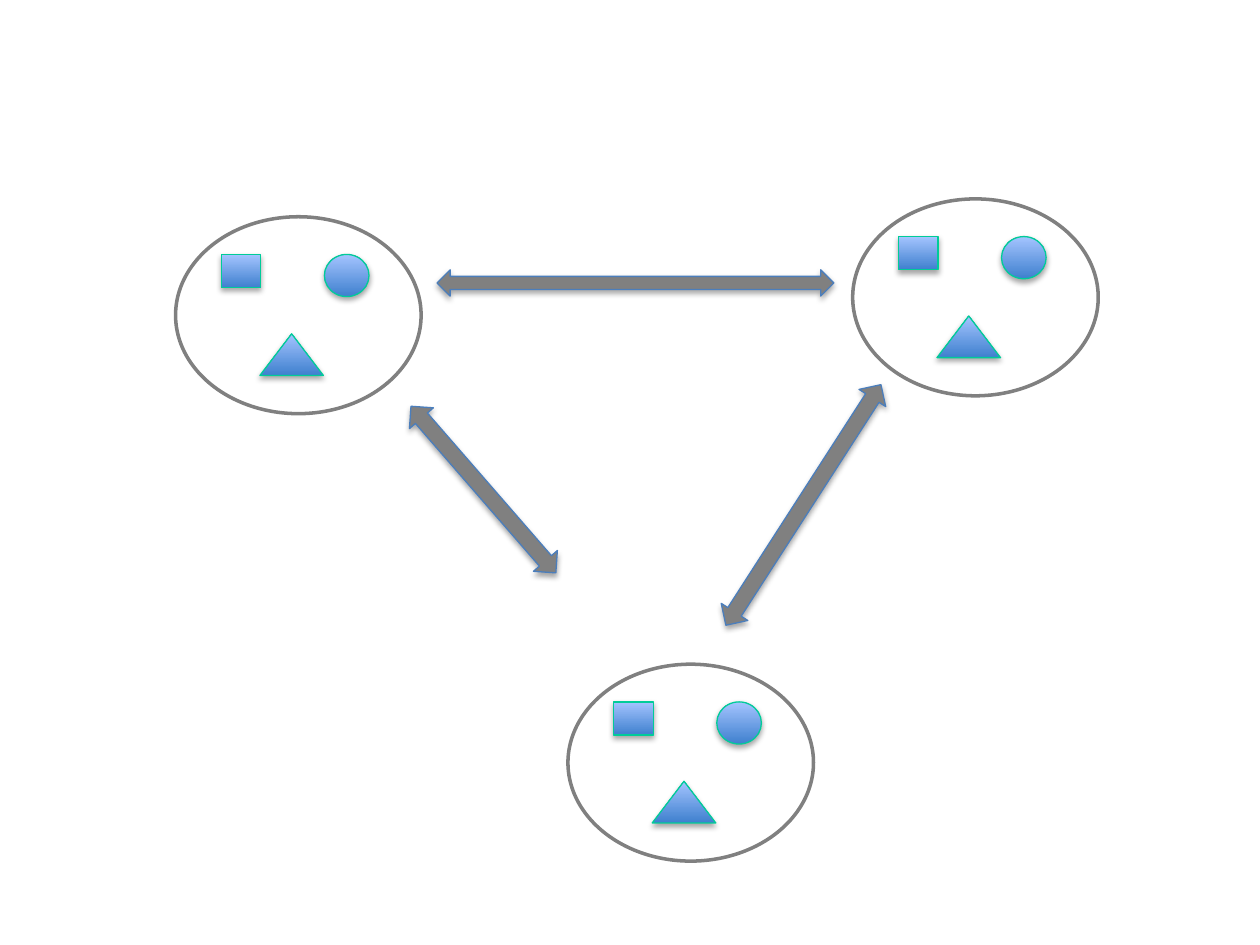
from typing import NamedTuple

from pptx import Presentation
from pptx.dml.color import RGBColor
from pptx.enum.shapes import MSO_SHAPE
from pptx.oxml import parse_xml
from pptx.oxml.ns import nsdecls, qn
from pptx.shapes.autoshape import Shape
from pptx.shapes.shapetree import SlideShapes
from pptx.util import Cm, Pt

GRAY = RGBColor(0x80, 0x80, 0x80)
GREEN = RGBColor(0x00, 0xCC, 0x99)
STEEL = RGBColor(0x4B, 0x7E, 0xBC)
DARK = RGBColor(0x3F, 0x80, 0xCE)
LIGHT = RGBColor(0xA4, 0xC4, 0xFF)
SHADOW = (
    f'<a:outerShdw {nsdecls("a")} blurRad="40000" dist="23000" dir="5400000" rotWithShape="0">'
    '<a:srgbClr val="000000"><a:alpha val="35000"/></a:srgbClr></a:outerShdw>'
)


class Box(NamedTuple):
    x: float
    y: float
    w: float
    h: float


class Token(NamedTuple):
    kind: MSO_SHAPE
    box: Box


class Arrow(NamedTuple):
    box: Box
    turn: float


TOKENS = [
    Token(MSO_SHAPE.RECTANGLE, Box(0.92, 0.76, 0.8, 0.67)),
    Token(MSO_SHAPE.OVAL, Box(3.0, 0.76, 0.9, 0.85)),
    Token(MSO_SHAPE.ISOSCELES_TRIANGLE, Box(1.7, 2.36, 1.28, 0.84)),
]
RING = Box(0, 0, 4.95, 3.97)
NODES = [(3.54, 4.37), (11.45, 13.39), (17.19, 4.01)]
ARROWS = [
    Arrow(Box(8.81, 5.44, 8, 0.53), 0),
    Arrow(Box(7.52, 9.55, 4.45, 0.64), 49),
    Arrow(Box(13.31, 9.86, 5.77, 0.64), 122.8),
]


def add_shape(shapes, kind: MSO_SHAPE, box: Box, color: RGBColor, width: float) -> Shape:
    shape = shapes.add_shape(kind, *(Cm(side) for side in box))
    shape.shadow.inherit = False
    shape.line.color.rgb = color
    shape.line.width = Pt(width)
    return shape


def add_shadow(shape: Shape) -> None:
    shape.element.spPr.find(qn("a:effectLst")).append(parse_xml(SHADOW))


def add_node(shapes: SlideShapes, left: float, top: float) -> None:
    group = shapes.add_group_shape().shapes
    for kind, box in TOKENS:
        place = box._replace(x=left + box.x, y=top + box.y)
        token = add_shape(group, kind, place, GREEN, 0.75)
        token.fill.gradient()
        token.fill.gradient_angle = 90
        for stop, color in zip(token.fill.gradient_stops, (DARK, LIGHT)):
            stop.color.rgb = color
        add_shadow(token)
    ring = add_shape(group, MSO_SHAPE.OVAL, RING._replace(x=left, y=top), GRAY, 2)
    ring.fill.background()


def add_arrow(shapes: SlideShapes, arrow: Arrow) -> None:
    shape = add_shape(shapes, MSO_SHAPE.LEFT_RIGHT_ARROW, arrow.box, STEEL, 0.75)
    shape.rotation = arrow.turn
    shape.fill.solid()
    shape.fill.fore_color.rgb = GRAY
    add_shadow(shape)


def main() -> None:
    """Draw three linked nodes that hold the same tokens."""
    deck = Presentation()
    deck.slide_width, deck.slide_height = Cm(25.4), Cm(19.05)
    shapes = deck.slides.add_slide(deck.slide_layouts[6]).shapes
    for left, top in NODES:
        add_node(shapes, left, top)
    for arrow in ARROWS:
        add_arrow(shapes, arrow)
    deck.save("out.pptx")


if __name__ == "__main__":
    main()
